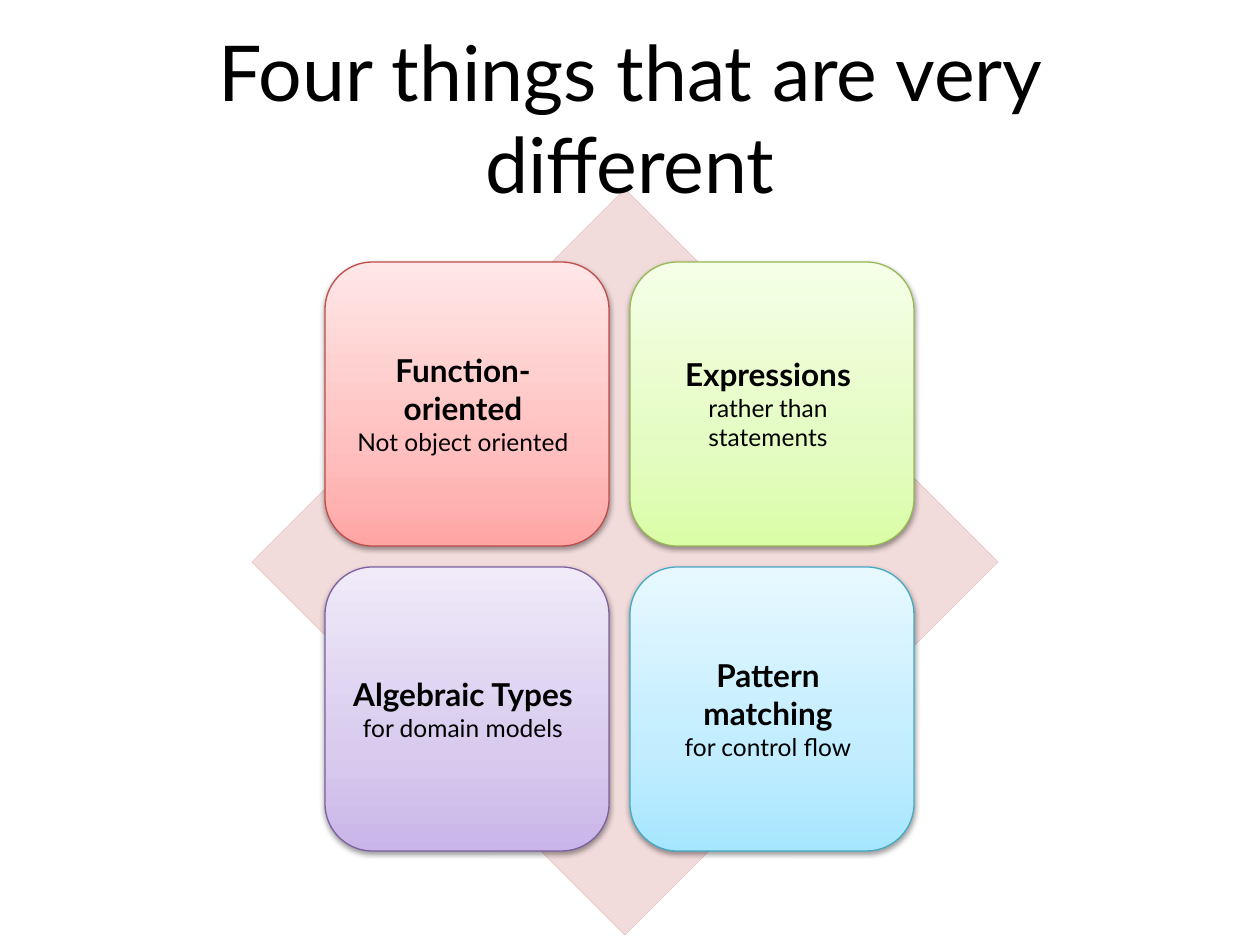
from lxml import etree
from pptx import Presentation
from pptx import util as u
from pptx.dml.color import RGBColor
from pptx.enum import shapes, text
from pptx.oxml import parse_xml
from pptx.oxml.ns import qn

NS = "http://schemas.openxmlformats.org/drawingml/2006/main"
FONT = "Lato"
COLORS = {"text": "000000", "diamond": "F2DCDB", "diamond_line": "E6B9B8"}
TITLE = "Four things that are very different"
TITLE_BOX = (63, 38, 1134, 157)
DIAMOND_BOX = (252, 189, 746, 746)
CARD_LEFT, CARD_TOP, CARD_SIZE, CARD_STEP = 325, 262, 284, 305
CARD_INSETS = (5, 5, 13, 6)
GRADIENT_STOPS = (0, 35, 100)

# column, row, heading, detail, gradient colours from bottom to top, line
CARDS = [
    (0, 0, "Function-oriented", "Not object oriented",
     ("FFA6A5", "FFC0BF", "FFE7E7"), "BF4C48"),
    (1, 0, "Expressions", "rather than statements",
     ("DAFDA7", "E4FCC2", "F5FFE7"), "98B955"),
    (0, 1, "Algebraic Types", "for domain models",
     ("C9B5E8", "D8CBEE", "F0EAF9"), "7D60A0"),
    (1, 1, "Pattern matching", "for control flow",
     ("A7E6FF", "C1EDFF", "E7F8FF"), "46AAC5"),
]


def px(n):
    """Turn pixels into EMU."""
    return u.Emu(round(n * 914400 / 126))


def write(p, words, size, bold=False, color=COLORS["text"]):
    """Write one centred, formatted run into a paragraph."""
    p.alignment = text.PP_ALIGN.CENTER
    r = p.add_run()
    r.text = words
    r.font.name, r.font.size, r.font.bold = FONT, u.Pt(size), bold
    r.font.color.rgb = RGBColor.from_string(color)


def add_shape(kind, box, fill, line, width):
    """Add a flat preset shape with a solid fill and an outline."""
    sp = slide.shapes.add_shape(kind, *map(px, box))
    sp.shadow.inherit = False
    sp.fill.solid()
    sp.fill.fore_color.rgb = RGBColor.from_string(fill)
    sp.line.color.rgb = RGBColor.from_string(line)
    sp.line.width = u.Pt(width)
    return sp


def add_gradient(sp, colors):
    """Replace the solid fill by a gradient that rises from the bottom."""
    stops = "".join(
        f'<a:gs pos="{pos * 1000}"><a:srgbClr val="{color}"/></a:gs>'
        for pos, color in zip(GRADIENT_STOPS, colors))
    grad = parse_xml(
        f'<a:gradFill xmlns:a="{NS}" rotWithShape="1"><a:gsLst>{stops}</a:gsLst>'
        '<a:lin ang="16200000" scaled="0"/></a:gradFill>')
    spPr = sp._element.spPr
    spPr.replace(spPr.find(qn("a:solidFill")), grad)


def add_shadow(sp):
    """Add a soft shadow just below the shape."""
    effects = sp._element.spPr.find(qn("a:effectLst"))
    shadow = etree.SubElement(effects, qn("a:outerShdw"), blurRad="40000",
                              dist="20000", dir="5400000", rotWithShape="0")
    color = etree.SubElement(shadow, qn("a:srgbClr"), val="000000")
    etree.SubElement(color, qn("a:alpha"), val="38000")


def add_card(col, row, heading, detail, colors, line):
    """Add one rounded card to the two by two grid."""
    box = (CARD_LEFT + col * CARD_STEP, CARD_TOP + row * CARD_STEP,
           CARD_SIZE, CARD_SIZE)
    sp = add_shape(shapes.MSO_SHAPE.ROUNDED_RECTANGLE, box, colors[0], line, 0.75)
    add_gradient(sp, colors)
    add_shadow(sp)
    tf = sp.text_frame
    tf.word_wrap = True
    tf.vertical_anchor = text.MSO_ANCHOR.MIDDLE
    tf.margin_left, tf.margin_top, tf.margin_right, tf.margin_bottom = map(
        px, CARD_INSETS)
    write(tf.paragraphs[0], heading, 18, bold=True)
    write(tf.add_paragraph(), detail, 14)


prs = Presentation()
prs.slide_width, prs.slide_height = u.Inches(10), u.Inches(7.5)
slide = prs.slides.add_slide(prs.slide_layouts[5])

title = slide.shapes.title
title.left, title.top, title.width, title.height = map(px, TITLE_BOX)
title.text_frame.vertical_anchor = text.MSO_ANCHOR.MIDDLE
write(title.text_frame.paragraphs[0], TITLE, 44)

diamond = add_shape(shapes.MSO_SHAPE.DIAMOND, DIAMOND_BOX, COLORS["diamond"],
                    COLORS["diamond_line"], 0.25)
title._element.addprevious(diamond._element)  # the title lies over the diamond

for card in CARDS:
    add_card(*card)

prs.save("out.pptx")
